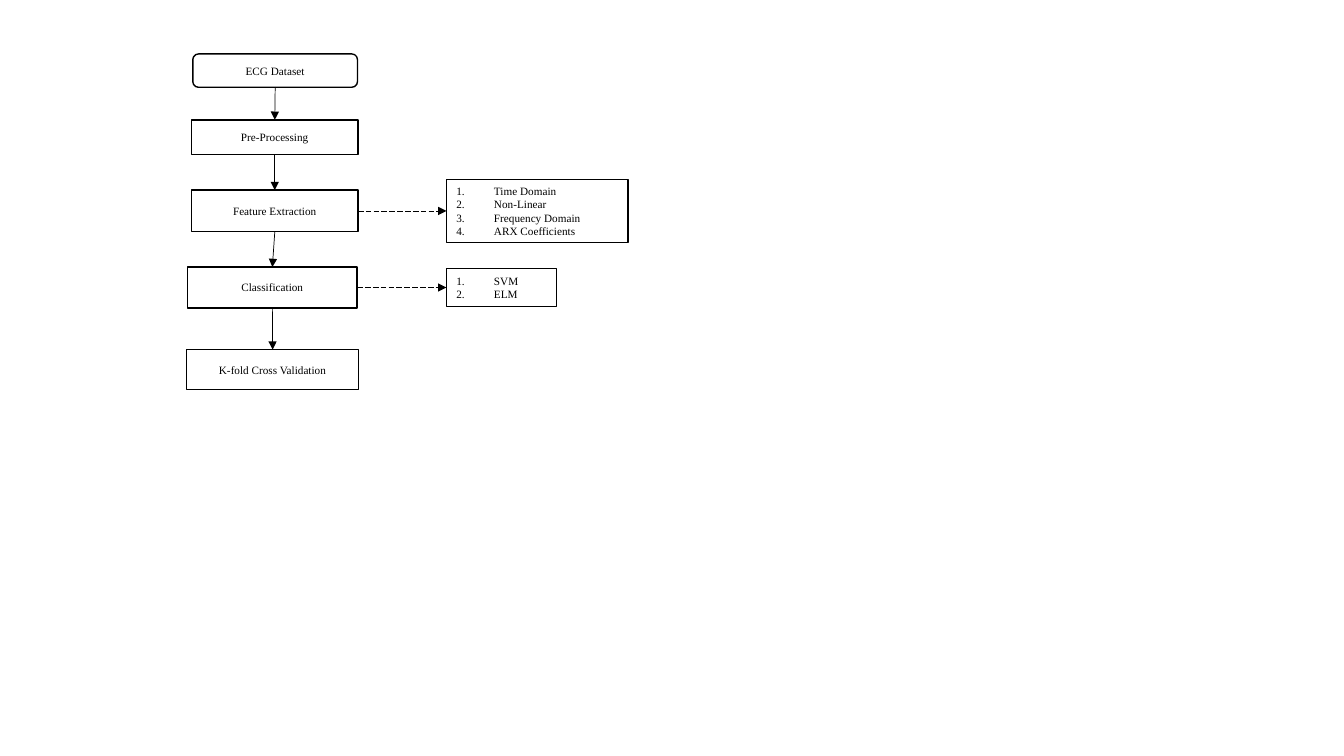
from dataclasses import dataclass

from lxml import etree
from pptx import Presentation
from pptx.dml.color import RGBColor
from pptx.enum.dml import MSO_LINE
from pptx.enum.shapes import MSO_CONNECTOR, MSO_SHAPE
from pptx.enum.text import MSO_ANCHOR, PP_ALIGN
from pptx.oxml.ns import qn
from pptx.util import Cm, Pt

RECT, ROUND = MSO_SHAPE.RECTANGLE, MSO_SHAPE.ROUNDED_RECTANGLE
STRAIGHT, DASH = MSO_CONNECTOR.STRAIGHT, MSO_LINE.LONG_DASH
CENTER, JUSTIFY = PP_ALIGN.CENTER, PP_ALIGN.JUSTIFY
MIDDLE = MSO_ANCHOR.MIDDLE
TOP, LEFT, BOTTOM, RIGHT = range(4)  # connection sites of a box


@dataclass(frozen=True)
class Theme:
    ink: RGBColor = RGBColor(0, 0, 0)
    font: str = "Times New Roman"
    size: float = 8
    edge: float = 1
    arrow: float = 0.5
    indent: float = 0.95


THEME = Theme()

# Text, shape, then left, top, width, height in cm within the flow
STEPS = [
    ("ECG Dataset", ROUND, 0.16, 0, 4.15, 0.84),
    ("Pre-Processing", RECT, 0.13, 1.66, 4.19, 0.88),
    ("Feature Extraction", RECT, 0.13, 3.43, 4.19, 1.05),
    ("Classification", RECT, 0.03, 5.37, 4.27, 1.03),
    ("K-fold Cross Validation", RECT, 0, 7.45, 4.34, 1.01),
]

# Step, items, then width and height in cm
LISTS = [
    ("Feature Extraction",
     ["Time Domain", "Non-Linear", "Frequency Domain", "ARX Coefficients"], 4.58, 1.59),
    ("Classification", ["SVM", "ELM"], 2.78, 0.95),
]


def number(para):
    """Turn a paragraph into a numbered item with a hanging indent."""
    props = para._p.get_or_add_pPr()
    hang = Cm(THEME.indent)
    props.set("marL", str(hang))
    props.set("indent", str(-hang))
    etree.SubElement(props, qn("a:buAutoNum"), type="arabicPeriod")


def write(frame, lines, align=CENTER, numbered=False):
    frame.word_wrap = True
    frame.vertical_anchor = MIDDLE
    for i, line in enumerate(lines):
        para = frame.add_paragraph() if i else frame.paragraphs[0]
        para.alignment = align
        if numbered:
            number(para)
        run = para.add_run()
        run.text = line
        run.font.name = THEME.font
        run.font.size = Pt(THEME.size)
        run.font.color.rgb = THEME.ink


def draw_box(slide, kind, left, top, width, height, lines, **style):
    box = slide.shapes.add_shape(kind, left, top, width, height)
    box.shadow.inherit = False
    box.fill.background()
    box.line.color.rgb = THEME.ink
    box.line.width = Pt(THEME.edge)
    write(box.text_frame, lines, **style)
    return box


def link(slide, start, exit_site, end, entry_site, dash=None):
    """Join two boxes with an arrow glued to their connection sites."""
    arrow = slide.shapes.add_connector(STRAIGHT, 0, 0, 0, 0)
    arrow.begin_connect(start, exit_site)
    arrow.end_connect(end, entry_site)
    line = arrow.line
    line.color.rgb = THEME.ink
    line.width = Pt(THEME.arrow)
    if dash:
        line.dash_style = dash
    etree.SubElement(line._get_or_add_ln(), qn("a:tailEnd"), type="triangle")
    etree.SubElement(arrow._element.spPr, qn("a:effectLst"))


def draw_flow(slide, left, top):
    """Draw the column of steps and return its boxes by name."""
    boxes = {}
    for name, kind, x, y, width, height in STEPS:
        boxes[name] = draw_box(slide, kind, left + Cm(x), top + Cm(y),
                               Cm(width), Cm(height), [name])
    chain = list(boxes.values())
    for start, end in zip(chain, chain[1:]):
        link(slide, start, BOTTOM, end, TOP)
    return boxes


def draw_lists(slide, left, boxes):
    """Draw each numbered list level with the step it details."""
    for name, items, width, height in LISTS:
        step = boxes[name]
        top = step.top + (step.height - Cm(height)) // 2
        box = draw_box(slide, RECT, left, top, Cm(width), Cm(height), items,
                       align=JUSTIFY, numbered=True)
        link(slide, step, RIGHT, box, LEFT, dash=DASH)


def main():
    deck = Presentation()
    deck.slide_width, deck.slide_height = Cm(33.87), Cm(19.05)
    slide = deck.slides.add_slide(deck.slide_layouts[6])
    boxes = draw_flow(slide, Cm(4.7), Cm(1.36))
    draw_lists(slide, Cm(11.25), boxes)
    deck.save("out.pptx")


if __name__ == "__main__":
    main()
